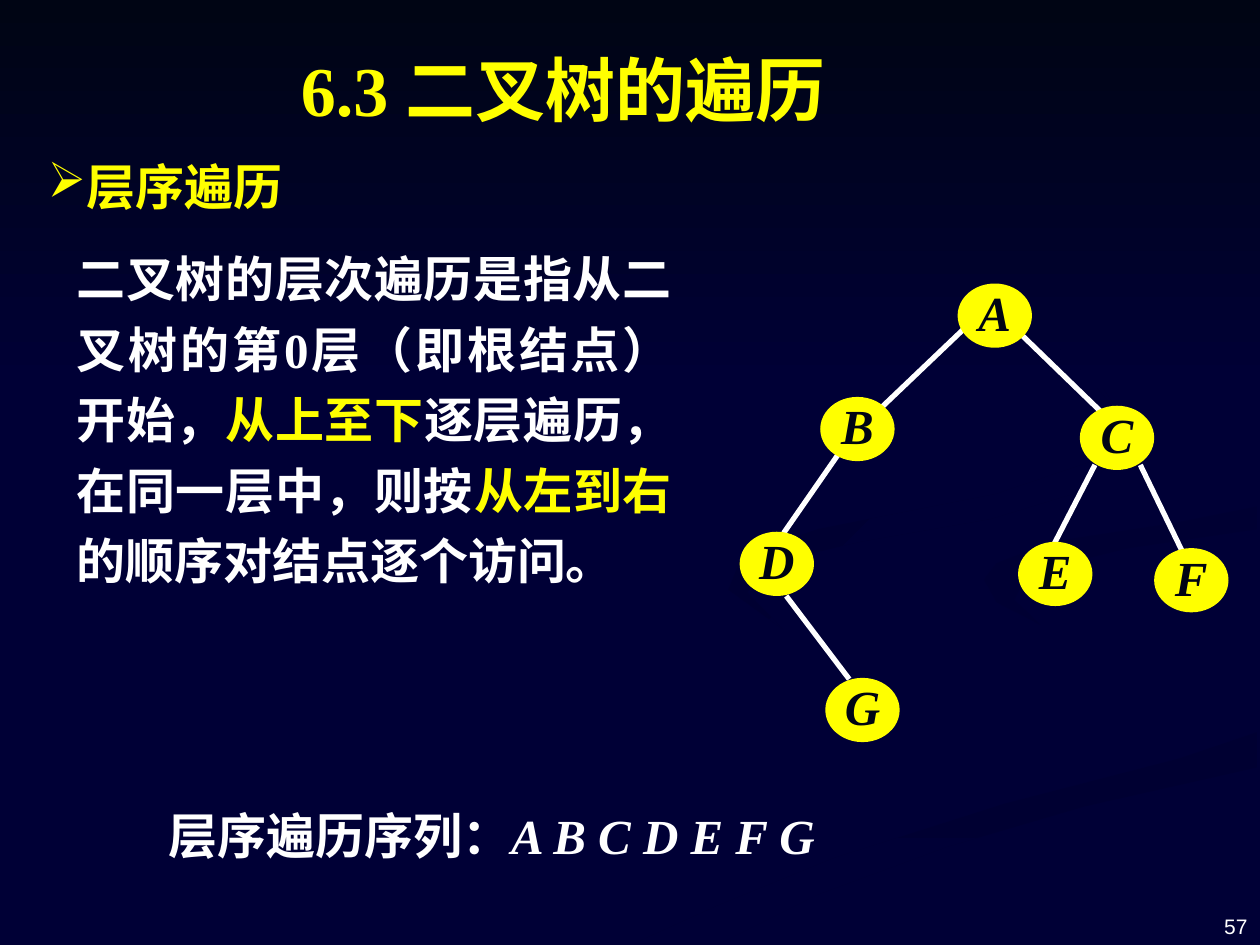
import pptx
import pptx.util
import pptx.dml.color
import pptx.enum.shapes
import pptx.enum.text
import pptx.oxml.ns
import lxml.etree

SHAPE = pptx.enum.shapes.MSO_SHAPE
ALIGN = pptx.enum.text.PP_ALIGN
ANCHOR = pptx.enum.text.MSO_ANCHOR
NAVY, INK, YELLOW, WHITE = "000036", "000514", "FFFF00", "FFFFFF"


def color(hex_value):
    return pptx.dml.color.RGBColor.from_string(hex_value)


def add_element(parent, tag, **attributes):
    return lxml.etree.SubElement(parent, pptx.oxml.ns.qn(tag), **attributes)


class Deck:
    font = "Times New Roman"
    size = 28
    columns, rows = 100, 75

    def __init__(self):
        self.prs = pptx.Presentation()
        self.prs.slide_width = pptx.util.Inches(10)
        self.prs.slide_height = pptx.util.Inches(7.5)
        self.s = self.prs.slides.add_slide(self.prs.slide_layouts[6])
        fill = self.s.background.fill
        fill.solid()
        fill.fore_color.rgb = color(NAVY)

    def x(self, column):
        return round(self.prs.slide_width * column / self.columns)

    def y(self, row):
        return round(self.prs.slide_height * row / self.rows)

    def box(self, left, top, width, height):
        return self.x(left), self.y(top), self.x(width), self.y(height)

    def gradient(self, sp, start, end, angle):
        sp.shadow.inherit = False
        sp.line.fill.background()
        sp.fill.gradient()
        sp.fill.gradient_angle = angle
        for stop, hex_value in zip(sp.fill.gradient_stops, (start, end)):
            stop.color.rgb = color(hex_value)

    def band(self, height, start, end):
        sp = self.s.shapes.add_shape(SHAPE.RECTANGLE, *self.box(0, 0, self.columns, height))
        self.gradient(sp, start, end, 270)

    def swoosh(self, points, start, end, angle):
        points = [(self.x(c), self.y(r)) for c, r in points]
        builder = self.s.shapes.build_freeform(*points[0])
        builder.add_line_segments(points[1:], close=True)
        self.gradient(builder.convert_to_shape(), start, end, angle)

    def run(self, p, text, hex_value, size=None, bold=True, italic=False, font=None):
        r = p.add_run()
        r.text = text
        r.font.name = font or self.font
        r.font.size = pptx.util.Pt(size or self.size)
        r.font.bold = bold
        r.font.italic = italic
        r.font.color.rgb = color(hex_value)

    def text(self, place, runs, align=ALIGN.JUSTIFY, anchor=ANCHOR.TOP, spacing=1, bullet=None):
        tf = self.s.shapes.add_textbox(*self.box(*place)).text_frame
        tf.word_wrap = True
        tf.vertical_anchor = anchor
        p = tf.paragraphs[0]
        p.alignment = align
        p.line_spacing = spacing
        if bullet:
            add_element(p._p.get_or_add_pPr(), "a:buChar", char=bullet)
        for text, hex_value, *style in runs:
            self.run(p, text, hex_value, **(style[0] if style else {}))

    def edge(self, start, end):
        line = self.s.shapes.add_connector(
            pptx.enum.shapes.MSO_CONNECTOR.STRAIGHT,
            self.x(start[0]), self.y(start[1]), self.x(end[0]), self.y(end[1]))
        line.line.color.rgb = color(WHITE)
        line.line.width = pptx.util.Pt(3)
        add_element(line._element.spPr, "a:effectLst")

    def node(self, letter, left, top):
        sp = self.s.shapes.add_shape(SHAPE.OVAL, *self.box(left, top, 5.9, 5.1))
        sp.shadow.inherit = False
        sp.fill.solid()
        sp.fill.fore_color.rgb = color(YELLOW)
        sp.line.fill.background()
        tf = sp.text_frame
        tf.word_wrap = False
        tf.vertical_anchor = ANCHOR.MIDDLE
        tf.margin_left = tf.margin_right = tf.margin_top = 0
        tf.margin_bottom = self.y(0.6)
        p = tf.paragraphs[0]
        p.alignment = ALIGN.CENTER
        self.run(p, letter, INK, italic=True)


def main():
    deck = Deck()
    swooshes = [
        ([(78.1, 55.3), (73.1, 53.3), (62.6, 50.2), (58.3, 47.7), (57.5, 45.9),
          (57, 47.2), (60.2, 49.5), (71.4, 53), (77.6, 55.3), (78.6, 56.6),
          (76.7, 58.7), (68.4, 61.3), (53.9, 64.9), (41.7, 69), (30, 74.9),
          (36.1, 74.9), (46.6, 70), (59.4, 65.6), (72.1, 62.3), (78, 60.5),
          (80, 58.1)], NAVY, "000034", 0),
        ([(94.3, 57), (91.9, 54.7), (87, 53), (77.4, 50.3), (73.3, 48.3),
          (72.4, 46.4), (73.3, 48.8), (76.6, 51.2), (83.8, 53.6), (90, 55.7),
          (91.8, 58.1), (89.4, 60.5), (93.2, 58.9)], NAVY, "000034", 315),
        ([(50.3, 74.9), (57.1, 74.9), (64.9, 71), (75.2, 67.2), (86.1, 64),
          (99.8, 60.9), (99.8, 58.1), (93.6, 60.2), (79.7, 63.8), (66.2, 68.1),
          (56.9, 71.9)], "000032", NAVY, 270),
        ([(78.1, 46), (79.1, 47.8), (82.6, 49.6), (80.5, 47.6), (81.2, 46.2),
          (84.3, 44.8), (89.6, 43.5), (99.8, 42), (99.8, 40.2), (93.3, 41.5),
          (83.5, 43), (79.1, 44.7)], "000033", NAVY, 315),
        ([(68.3, 43), (78.6, 41.2), (85.5, 39.1), (88.9, 36.2), (89.3, 33.5),
          (86.4, 29.1), (79.9, 25), (76.2, 23.3), (84.6, 27.9), (88.8, 32.8),
          (87, 36.5), (79.1, 39.2), (64.9, 42), (58.9, 44.1), (57.8, 46.8),
          (62.2, 50), (59.3, 47), (62.4, 44.4)], "000032", NAVY, 315),
    ]
    for outline in swooshes:
        deck.swoosh(*outline)
    deck.band(30.8, INK, NAVY)

    deck.text((22.9, 3.2, 63.8, 7.7), [("6.3 二叉树的遍历", YELLOW, {"size": 40})])
    deck.text((2.8, 11.9, 59.2, 6.3), [("层序遍历", YELLOW)], bullet="➢")
    deck.text((5.1, 18.3, 49.2, 29), [
        ("二叉树的层次遍历是指从二叉树的第0层（即根结点）开始，", WHITE),
        ("从上至下", YELLOW),
        ("逐层遍历，在同一层中，则按", WHITE),
        ("从左到右", YELLOW),
        ("的顺序对结点逐个访问。", WHITE),
    ], spacing=1.2)
    deck.text((12.4, 63.4, 56, 5.7), [
        ("层序遍历序列：", WHITE),
        ("A B C D E F G", WHITE, {"italic": True}),
    ])
    deck.text((76.7, 69.8, 23.3, 5.2),
              [("57", WHITE, {"size": 12, "bold": False, "font": "Arial"})],
              align=ALIGN.RIGHT, anchor=ANCHOR.BOTTOM)

    edges = [
        ((76.4, 26.2), (70, 32.3)),
        ((81, 26.5), (87.4, 32.7)),
        ((66.5, 36.1), (62.2, 42.3)),
        ((62.4, 47.3), (67.4, 53.9)),
        ((86.9, 36.9), (83.7, 43.1)),
        ((90.5, 36.9), (93.8, 43.7)),
    ]
    for start, end in edges:
        deck.edge(start, end)

    nodes = {
        "A": (76, 22.5), "B": (65.1, 31.5), "C": (85.7, 32.2), "D": (58.7, 42.2),
        "E": (80.8, 43), "F": (91.6, 43.5), "G": (65.5, 53.8),
    }
    for letter, (left, top) in nodes.items():
        deck.node(letter, left, top)

    deck.prs.save("out.pptx")


if __name__ == "__main__":
    main()
